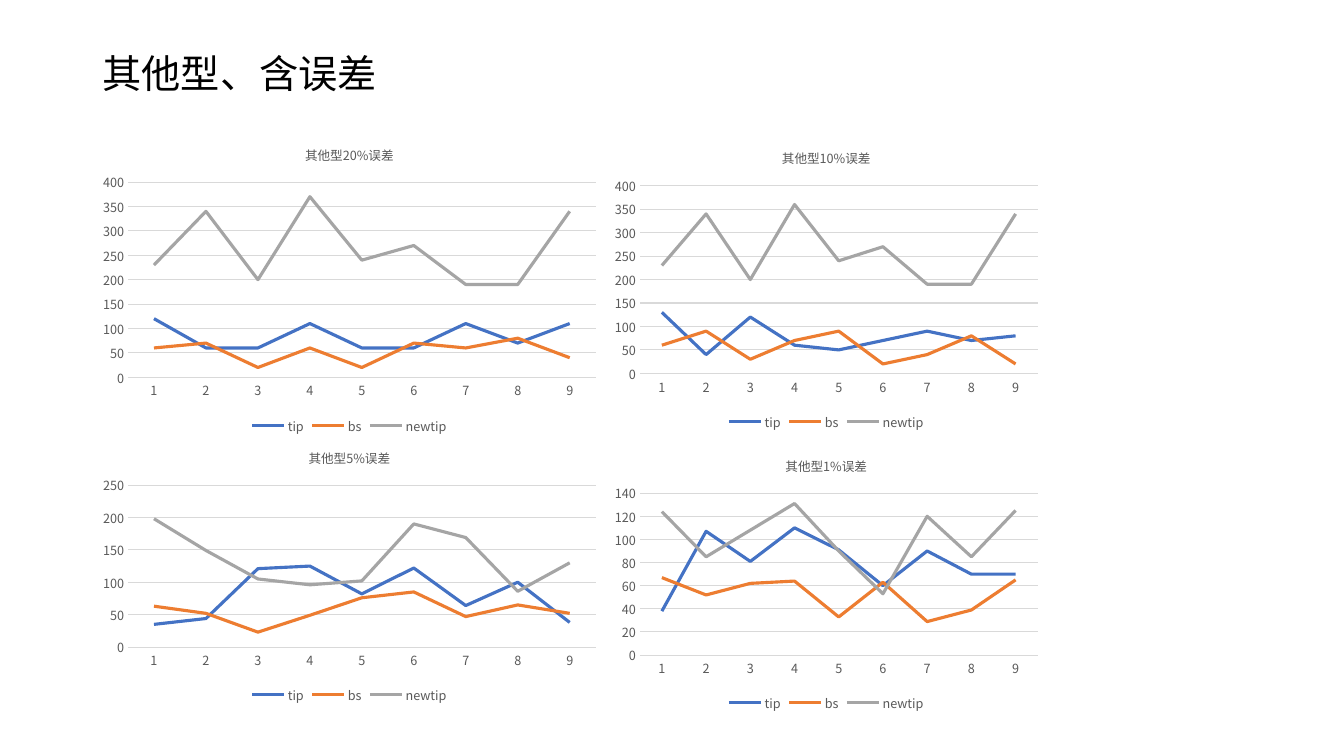
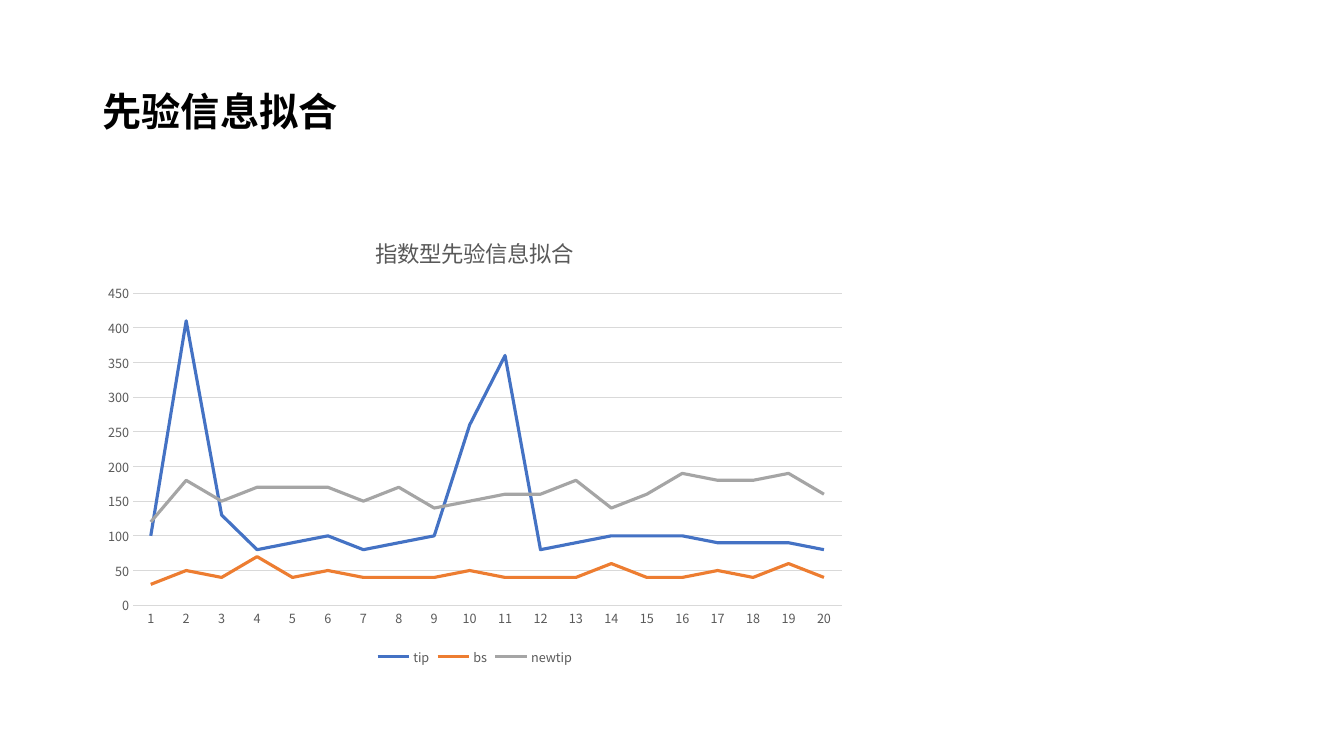
from dataclasses import dataclass

from lxml import etree
from pptx import Presentation
from pptx import util as u
from pptx.chart.data import CategoryChartData
from pptx.dml.color import RGBColor
from pptx.enum import chart as charts
from pptx.enum import text
from pptx.oxml.ns import qn


@dataclass(frozen=True)
class Theme:
    """Colours, font and type sizes."""
    font: str = "Noto Sans CJK SC"
    ink: str = "000000"
    grey: str = "595959"
    rule: str = "D9D9D9"
    lines: tuple = ("4472C4", "ED7D31", "A5A5A5")
    head: int = 28
    base: int = 10
    small: int = 9
    large: int = 16
    thin: float = 0.75
    thick: float = 2.25


def add_asian(root, name):
    """Use the same typeface for East Asian letters under root."""
    for latin in list(root.iter(qn("a:latin"))):
        asian = etree.Element(qn("a:ea"))
        asian.set("typeface", name)
        latin.addnext(asian)


def set_line(line, colour, width):
    """Give a line its colour and width."""
    line.color.rgb = RGBColor.from_string(colour)
    line.width = u.Pt(width)


class Deck:
    """Holds the theme, the file and the current slide."""

    def __init__(self, theme):
        """Start an empty wide file."""
        self.theme = theme
        self.file = Presentation()
        self.file.slide_width = u.Inches(13.33)
        self.file.slide_height = u.Inches(7.5)
        self.slide = None

    def style(self, font, size, colour, bold=False):
        """Format any font object."""
        font.name = self.theme.font
        font.size = u.Pt(size)
        font.bold = bold
        font.color.rgb = RGBColor.from_string(colour)

    def label(self, frame, words, size, colour, bold=False, spacing=None):
        """Put formatted words in a text frame."""
        para = frame.paragraphs[0]
        para.line_spacing = spacing
        run = para.add_run()
        run.text = words
        self.style(run.font, size, colour, bold)

    def page(self, title, bold=False, lift=0):
        """Add a slide with its title, raised by lift inches."""
        self.slide = self.file.slides.add_slide(self.file.slide_layouts[6])
        box = self.slide.shapes.add_textbox(
            *map(u.Inches, (0.92, 0.4, 11.5, 1.45)))
        frame = box.text_frame
        frame.word_wrap = True
        frame.vertical_anchor = text.MSO_ANCHOR.MIDDLE
        frame.margin_bottom = u.Inches(0.05 + 2 * lift)
        self.label(frame, title, self.theme.head, self.theme.ink,
                   bold=bold, spacing=0.9)
        add_asian(box.element, self.theme.font)

    def plot(self, title, place, rows, top, step, size):
        """Add a line chart of the three methods."""
        look = self.theme
        data = CategoryChartData()
        data.categories = [str(n + 1) for n in range(len(rows[0]))]
        for name, row in zip(("tip", "bs", "newtip"), rows):
            data.add_series(name, row)
        chart = self.slide.shapes.add_chart(
            charts.XL_CHART_TYPE.LINE, *map(u.Inches, place), data).chart
        self.style(chart.font, look.base, look.ink)
        chart.has_title = True
        self.label(chart.chart_title.text_frame, title, size, look.grey)
        chart.has_legend = True
        chart.legend.position = charts.XL_LEGEND_POSITION.BOTTOM
        chart.legend.include_in_layout = False
        self.style(chart.legend.font, look.small, look.grey)
        self.axes(chart, top, step)
        chart.plots[0].vary_by_categories = False
        for series, colour in zip(chart.plots[0].series, look.lines):
            series.smooth = False
            series.marker.style = charts.XL_MARKER_STYLE.NONE
            set_line(series.format.line, colour, look.thick)
        add_asian(chart.element, look.font)

    def axes(self, chart, top, step):
        """Format both axes and the grid."""
        look = self.theme
        base, side = chart.category_axis, chart.value_axis
        for axis in (base, side):
            axis.major_tick_mark = charts.XL_TICK_MARK.NONE
            axis.minor_tick_mark = charts.XL_TICK_MARK.NONE
            self.style(axis.tick_labels.font, look.small, look.grey)
        set_line(base.format.line, look.rule, look.thin)
        side.format.line.fill.background()
        side.has_major_gridlines = True
        set_line(side.major_gridlines.format.line, look.rule, look.thin)
        side.minimum_scale = 0
        side.maximum_scale = top
        side.major_unit = step


ERRORS = (
    ("20%", (0.92, 1.29, 5.09, 3.06), 400, 50, (
        (120, 60, 60, 110, 60, 60, 110, 70, 110),
        (60, 70, 20, 60, 20, 70, 60, 80, 40),
        (230, 340, 200, 370, 240, 270, 190, 190, 340))),
    ("10%", (6.01, 1.33, 4.37, 2.98), 400, 50, (
        (130, 40, 120, 60, 50, 70, 90, 70, 80),
        (60, 90, 30, 70, 90, 20, 40, 80, 20),
        (230, 340, 200, 360, 240, 270, 190, 190, 340))),
    ("5%", (0.92, 4.31, 5.09, 2.71), 250, 50, (
        (35, 44, 121, 125, 82, 122, 64, 100, 38),
        (63, 52, 23, 49, 76, 85, 47, 65, 52),
        (198, 149, 105, 96, 102, 190, 169, 86, 130))),
    ("1%", (6.01, 4.39, 4.37, 2.71), 140, 20, (
        (38, 107, 81, 110, 91, 60, 90, 70, 70),
        (67, 52, 62, 64, 33, 63, 29, 39, 65),
        (124, 85, 108, 131, 90, 53, 120, 85, 125))),
)
PRIOR = (
    (100, 410, 130, 80, 90, 100, 80, 90, 100, 260,
     360, 80, 90, 100, 100, 100, 90, 90, 90, 80),
    (30, 50, 40, 70, 40, 50, 40, 40, 40, 50,
     40, 40, 40, 60, 40, 40, 50, 40, 60, 40),
    (120, 180, 150, 170, 170, 170, 150, 170, 140, 150,
     160, 160, 180, 140, 160, 190, 180, 180, 190, 160),
)


def main():
    """Build both slides and save them."""
    theme = Theme()
    deck = Deck(theme)
    deck.page("其他型、含误差", lift=0.37)
    for rate, place, top, step, rows in ERRORS:
        deck.plot(f"其他型{rate}误差", place, rows, top, step, theme.small)
    deck.page("先验信息拟合", bold=True)
    deck.plot("指数型先验信息拟合", (0.92, 2.14, 7.58, 4.5),
              PRIOR, 450, 50, theme.large)
    deck.file.save("out.pptx")


main()
